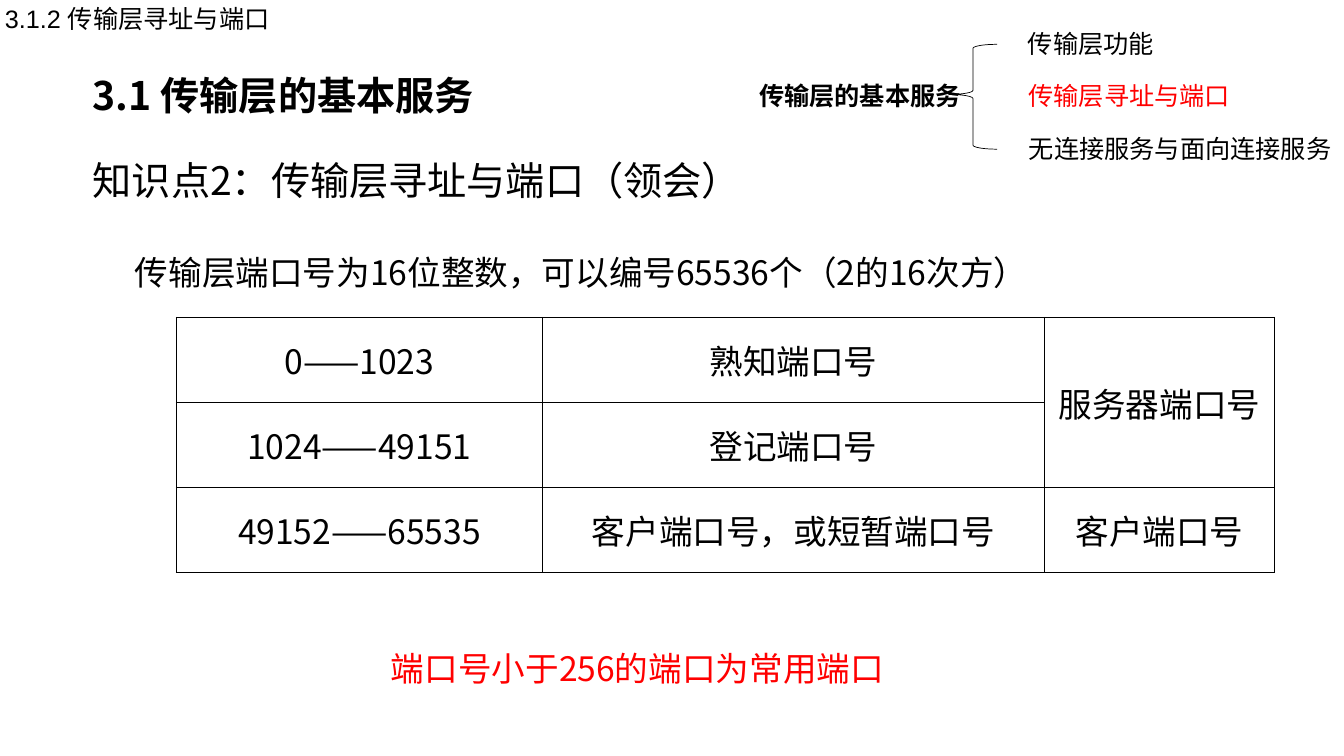
from lxml.etree import SubElement
from pptx import Presentation
from pptx.dml.color import RGBColor
from pptx.enum.shapes import MSO_SHAPE
from pptx.enum.text import MSO_ANCHOR, MSO_AUTO_SIZE, PP_ALIGN
from pptx.oxml import parse_xml
from pptx.oxml.ns import nsdecls, qn
from pptx.util import Inches, Pt

BLACK = RGBColor(0, 0, 0)
RED = RGBColor(255, 0, 0)
WHITE = RGBColor(255, 255, 255)
SANS = "Noto Sans CJK SC"
ROWS = [
    ("0——1023", "熟知端口号", "服务器端口号"),
    ("1024——49151", "登记端口号", ""),
    ("49152——65535", "客户端口号，或短暂端口号", "客户端口号"),
]
TOPICS = [
    ("传输层功能", 0.31, 1.46, BLACK),
    ("传输层寻址与端口", 0.83, 2.22, RED),
    ("无连接服务与面向连接服务", 1.35, 3.23, BLACK),
]


def apply(item, values):
    for name, value in values.items():
        setattr(item, name, value)


class Page:
    def __init__(self, deck):
        self.slide = deck.slides.add_slide(deck.slide_layouts[5])
        self.shapes = self.slide.shapes
        fill = self.slide.background.fill
        fill.solid()
        fill.fore_color.rgb = WHITE

    def words(self, frame, text, size, color=BLACK, bold=False, face=SANS,
              align=PP_ALIGN.LEFT, pitch=None):
        para = frame.paragraphs[0]
        apply(para, {"alignment": align, "line_spacing": pitch})
        run = para.add_run()
        run.text = text
        apply(run.font, {"size": Pt(size), "bold": bold, "name": face})
        run.font.color.rgb = color
        SubElement(run.font._element, qn("a:ea")).set("typeface", SANS)

    def place(self, shape, box, wide=False, wrap=True, anchor=MSO_ANCHOR.TOP):
        sides = ("left", "top", "width", "height")
        apply(shape, dict(zip(sides, map(Inches, box))))
        frame = shape.text_frame
        apply(frame, {"word_wrap": wrap, "vertical_anchor": anchor,
                      "auto_size": MSO_AUTO_SIZE.NONE})
        if wide:
            apply(frame, {"margin_left": Inches(0.12),
                          "margin_right": Inches(0.12),
                          "margin_top": Inches(0.06),
                          "margin_bottom": Inches(0.06)})
        return frame

    def title(self, text, box, size):
        frame = self.place(self.shapes.title, box, wide=True)
        self.words(frame, text, size, bold=True)

    def label(self, text, box, size, wide=False, wrap=True,
              anchor=MSO_ANCHOR.TOP, **style):
        shape = self.shapes.add_textbox(*map(Inches, box))
        frame = self.place(shape, box, wide, wrap, anchor)
        self.words(frame, text, size, **style)

    def brace(self, box):
        shape = self.shapes.add_shape(MSO_SHAPE.LEFT_BRACE, *map(Inches, box))
        shape.shadow.inherit = False
        shape.fill.background()
        shape.line.color.rgb = BLACK
        shape.line.width = Pt(0.5)
        shape.adjustments[0] = 0.083
        shape.adjustments[1] = 0.478

    def border(self, cell):
        props = cell._tc.get_or_add_tcPr()
        for spot, side in enumerate(("lnL", "lnR", "lnT", "lnB")):
            props.insert(spot, parse_xml(
                f'<a:{side} {nsdecls("a")} w="{Pt(1)}"><a:solidFill>'
                f'<a:srgbClr val="{BLACK}"/></a:solidFill></a:{side}>'))

    def table(self, rows, box, widths):
        frame = self.shapes.add_table(len(rows), len(widths),
                                      *map(Inches, box))
        table = frame.table
        apply(table, {"first_row": False, "horz_banding": False})
        for column, width in zip(table.columns, widths):
            column.width = Inches(width)
        table.cell(0, 2).merge(table.cell(1, 2))
        for row, texts in zip(table.rows, rows):
            for cell, text in zip(row.cells, texts):
                cell.vertical_anchor = MSO_ANCHOR.MIDDLE
                cell.fill.background()
                self.border(cell)
                if text:
                    self.words(cell.text_frame, text, 24,
                               align=PP_ALIGN.CENTER)


def main():
    deck = Presentation()
    apply(deck, {"slide_width": Inches(13.33), "slide_height": Inches(7.5)})
    page = Page(deck)
    page.title("3.1 传输层的基本服务", (0.8, 0.65, 9.65, 0.59), 28)
    page.label("知识点2：传输层寻址与端口（领会）", (0.8, 1.15, 12.16, 1.04),
               28, wide=True, anchor=MSO_ANCHOR.MIDDLE, pitch=1.5)
    page.label("传输层端口号为16位整数，可以编号65536个（2的16次方）",
               (1.24, 2.34, 10.94, 0.62), 24, pitch=Pt(37))
    page.table(ROWS, (1.75, 3.15, 10.89, 2.53), (3.63, 4.98, 2.28))
    page.brace((9.41, 0.44, 0.48, 1.04))
    for text, top, width, color in TOPICS:
        page.label(text, (10.09, top, width, 0.33), 18, wrap=False,
                   color=color, align=PP_ALIGN.CENTER, pitch=Pt(16))
    page.label("传输层的基本服务", (7.43, 0.75, 2.24, 0.4), 18, wrap=False,
               bold=True)
    page.label("3.1.2 传输层寻址与端口", (-0.05, -0.02, 3.08, 0.4), 18,
               face="Arial")
    page.label("端口号小于256的端口为常用端口", (3.78, 6.38, 5.3, 0.5), 24,
               color=RED)
    deck.save("out.pptx")


if __name__ == "__main__":
    main()
